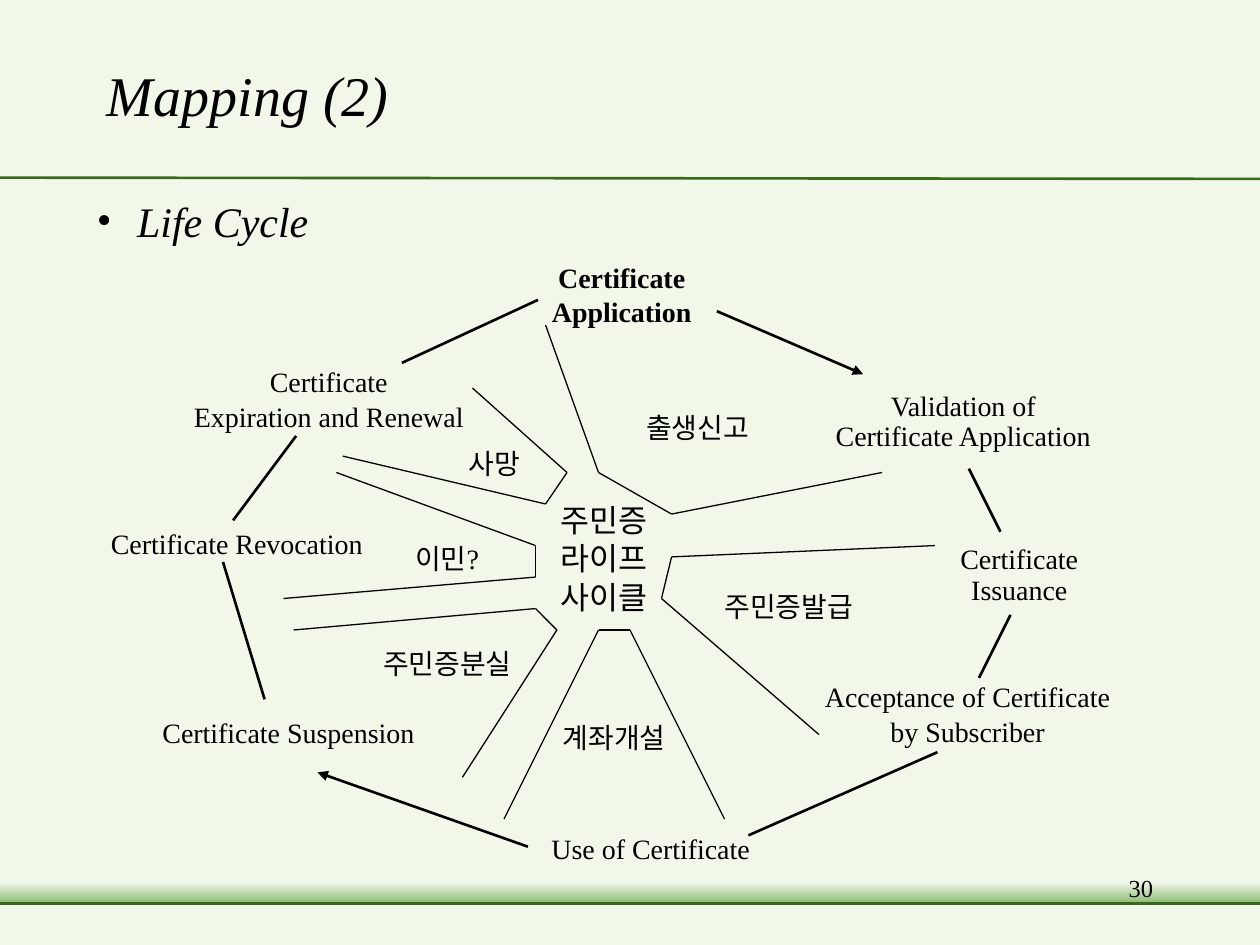
from itertools import pairwise

from pptx import Presentation
from pptx.dml.color import RGBColor as Rgb
from pptx.enum.shapes import MSO_CONNECTOR as Conn, MSO_SHAPE as Kind
from pptx.enum.text import MSO_ANCHOR as Anchor, PP_ALIGN as Align
from pptx.oxml.ns import qn
from pptx.oxml.xmlchemy import OxmlElement as Node
from pptx.util import Pt

PX = 9144
FONT = "Times New Roman"
HUES = {"page": "F1F7E9", "rule": "366B1B", "band": "8DBA76", "ink": "000000"}

STAGES = [
    ((427, 213, 133, 51), ["Certificate", "Application"], {"gaps": (0.5, 0.5), "bold": True}),
    ((652, 319, 225, 43), ["Validation of", "Certificate Application"], {"gaps": (0.3, 0.4)}),
    ((752, 438, 114, 46), ["Certificate", "Issuance"], {"gaps": (0.4, 0.4)}),
    ((645, 546, 246, 51), ["Acceptance of Certificate", "by Subscriber"],
     {"gaps": (0.5, 0.5), "wrap": False}),
    ((428, 655, 177, 37), ["Use of Certificate"], {"wrap": False}),
    ((119, 563, 220, 37), ["Certificate Suspension"], {"wrap": False}),
    ((78, 413, 220, 37), ["Certificate Revocation"], {"wrap": False}),
    ((144, 296, 234, 51), ["Certificate", "Expiration and Renewal"],
     {"gaps": (0.5, 0.5), "wrap": False}),
]

EVENTS = [
    ((503, 321, 101, 37), "출생신고"),
    ((565, 463, 122, 37), "주민증발급"),
    ((437, 567, 101, 37), "계좌개설"),
    ((294, 508, 122, 37), "주민증분실"),
    ((317, 425, 76, 37), "이민?"),
    ((362, 349, 61, 37), "사망"),
]

STEPS = [
    ((569, 247), (685, 297), True),
    ((769, 372), (794, 422), False),
    ((802, 488), (777, 538), False),
    ((744, 597), (594, 663), False),
    ((419, 672), (252, 613), True),
    ((210, 555), (177, 446), False),
    ((185, 413), (235, 346), False),
    ((319, 288), (427, 238), False),
]

PETALS = [
    [(433, 258), (475, 375), (533, 408), (700, 375)],
    [(742, 433), (533, 442), (525, 475), (650, 583)],
    [(575, 650), (500, 500), (475, 500), (400, 650)],
    [(367, 617), (442, 500), (425, 483), (233, 500)],
    [(225, 475), (425, 458), (425, 433), (267, 375)],
    [(272, 362), (433, 400), (450, 375), (375, 308)],
]


def hue(name):
    """Return a named colour."""
    return Rgb.from_string(HUES[name])


def scale(nums):
    """Turn px into EMU."""
    return [n * PX for n in nums]


def draw_line(slide, start, end, width=0.75, tint="ink", arrow=False):
    """Draw a straight line, with an arrowhead if asked."""
    line = slide.shapes.add_connector(Conn.STRAIGHT, *scale(start + end))
    line.line.color.rgb = hue(tint)
    line.line.width = Pt(width)
    props = line._element.spPr
    if arrow:
        head = Node("a:tailEnd")
        head.set("type", "triangle")
        props.find(qn("a:ln")).append(head)
    props.append(Node("a:effectLst"))


def add_text(slide, box, rows, size=16, align=Align.CENTER, gaps=None, wrap=True,
             bold=False, slant=False, anchor=Anchor.MIDDLE, space=10):
    """Add a text box with one paragraph per row."""
    frame = slide.shapes.add_textbox(*scale(box)).text_frame
    frame.word_wrap = wrap
    if not wrap:
        frame.margin_left = frame.margin_right = 0
    frame.vertical_anchor = anchor
    frame.text = "\n".join(rows)
    for num, para in enumerate(frame.paragraphs):
        para.alignment = align
        if gaps:
            para.line_spacing = gaps[num]
        if num:
            para.space_before = Pt(space)
        font = para.font
        font.name, font.size = FONT, Pt(size)
        font.bold, font.italic = bold, slant
        font.color.rgb = hue("ink")
    return frame


def add_bullet(para, indent):
    """Give a paragraph a round bullet and a hanging indent."""
    props = para._p.get_or_add_pPr()
    props.set("marL", str(indent * PX))
    props.set("indent", str(-indent * PX))
    for tag, key, value in (("a:buFont", "typeface", FONT), ("a:buChar", "char", "•")):
        mark = Node(tag)
        mark.set(key, value)
        props.insert_element_before(mark, "a:tabLst", "a:defRPr", "a:extLst")


def draw_frame(slide):
    """Draw the page colour, the rules and the footer band."""
    slide.background.fill.solid()
    slide.background.fill.fore_color.rgb = hue("page")
    draw_line(slide, (0, 141), (1000, 142), 1.5, "rule")
    band = slide.shapes.add_shape(Kind.RECTANGLE, *scale((0, 700, 1000, 17)))
    band.shadow.inherit = False
    band.line.fill.background()
    band.fill.gradient()
    band.fill.gradient_angle = 270
    for stop, name in zip(band.fill.gradient_stops, ("page", "band")):
        stop.color.rgb = hue(name)
    draw_line(slide, (0, 717), (1000, 717), 1.5, "rule")


def main():
    """Build the life cycle slide."""
    deck = Presentation()
    deck.slide_width, deck.slide_height = scale((1000, 750))
    slide = deck.slides.add_slide(deck.slide_layouts[6])
    draw_frame(slide)
    add_text(slide, (75, 25, 850, 100), ["Mapping (2)"], 32, Align.LEFT, slant=True)
    topic = add_text(slide, (67, 150, 633, 50), ["Life Cycle"], 24, Align.LEFT, slant=True)
    add_bullet(topic.paragraphs[0], 32)
    for box, rows, style in STAGES:
        add_text(slide, box, rows, **style)
    add_text(slide, (417, 405, 125, 87), ["주민증", "라이프", "사이클"], 18,
             gaps=(0.5, 0.5, 0.5), space=11.2)
    for start, end, arrow in STEPS:
        draw_line(slide, start, end, 1.5, arrow=arrow)
    for petal in PETALS:
        for start, end in pairwise(petal):
            draw_line(slide, start, end)
    for box, word in EVENTS:
        add_text(slide, box, [word], wrap=False)
    add_text(slide, (717, 688, 208, 50), ["30"], 14, Align.RIGHT, anchor=Anchor.TOP)
    deck.save("out.pptx")


if __name__ == "__main__":
    main()
